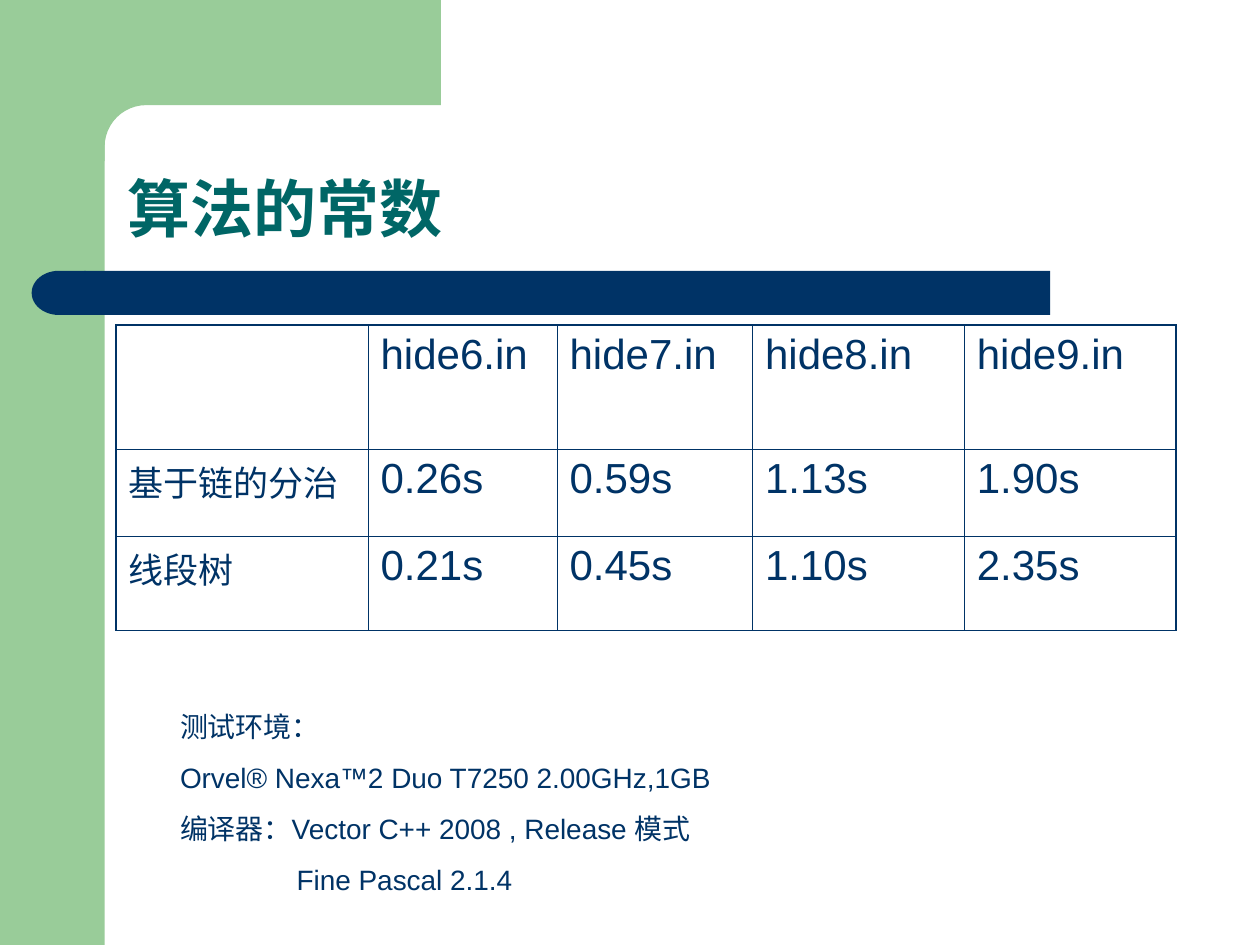
from math import cos, pi, sin

from lxml.etree import SubElement
from pptx import Presentation
from pptx.dml.color import RGBColor
from pptx.enum.shapes import MSO_SHAPE as Shape
from pptx.enum.text import MSO_ANCHOR as Anchor, MSO_AUTO_SIZE as AutoSize, PP_ALIGN as Align
from pptx.oxml.ns import qn
from pptx.util import Cm, Pt

GREEN, NAVY, TEAL = "99CC99", "003366", "006666"


def paint(color_target, hex_color):
    """Give a fill or a font a solid colour."""
    if hasattr(color_target, "solid"):
        color_target.solid()
        color_target.fore_color.rgb = RGBColor.from_string(hex_color)
    else:
        color_target.color.rgb = RGBColor.from_string(hex_color)


def write(paragraph, text, size=24, color=NAVY, bold=False, before=0, line=1.0):
    paragraph.alignment = Align.LEFT
    paragraph.space_before = Pt(before)
    paragraph.line_spacing = line
    run = paragraph.add_run()
    run.text = text
    run.font.name = "Arial"
    run.font.size = Pt(size)
    run.font.bold = bold
    paint(run.font, color)


prs = Presentation()
prs.slide_width, prs.slide_height = Cm(25.4), Cm(19.05)
slide = prs.slides.add_slide(prs.slide_layouts[5])
shapes = slide.shapes

# Green side band and the top block with its rounded inner corner
side_band = shapes.add_shape(Shape.RECTANGLE, 0, 0, Cm(2.11), Cm(19.05))

radius, center_x, center_y = 0.84, 2.95, 2.96
steps = 12
arc = [(center_x - radius * sin(pi / 2 * i / steps), center_y - radius * cos(pi / 2 * i / steps))
       for i in range(steps + 1)]
outline = [(8.89, 0), (8.89, 2.12), *arc, (2.11, 3.25), (1.27, 3.25)]
builder = shapes.build_freeform(Cm(1.27), 0)
builder.add_line_segments([(Cm(x), Cm(y)) for x, y in outline], close=True)
top_block = builder.convert_to_shape()

# Navy rule under the title, with a round left end
rule = shapes.add_shape(Shape.RECTANGLE, Cm(1.7), Cm(5.46), Cm(19.47), Cm(0.89))
rule_end = shapes.add_shape(Shape.FLOWCHART_DELAY, Cm(0.64), Cm(5.46), Cm(1.09), Cm(0.89))
rule_end._element.spPr.find(qn("a:xfrm")).set("flipH", "1")

for part, color in [(side_band, GREEN), (top_block, GREEN), (rule, NAVY), (rule_end, NAVY)]:
    part.shadow.inherit = False
    paint(part.fill, color)
    part.line.fill.background()

title = shapes.title
title.left, title.top, title.width, title.height = Cm(2.31), Cm(2.31), Cm(21.62), Cm(2.77)
title.text_frame.vertical_anchor = Anchor.BOTTOM
title.text_frame.auto_size = AutoSize.NONE
write(title.text_frame.paragraphs[0], "算法的常数", size=36, color=TEAL, bold=True, line=0.9)

# Running times
timings = [
    ["", "hide6.in", "hide7.in", "hide8.in", "hide9.in"],
    ["基于链的分治", "0.26s", "0.59s", "1.13s", "1.90s"],
    ["线段树", "0.21s", "0.45s", "1.10s", "2.35s"],
]
column_widths = [5.08, 3.81, 3.94, 4.27, 4.27]
row_heights = [2.51, 1.75, 1.9]
last_row, last_column = len(row_heights) - 1, len(column_widths) - 1
table = shapes.add_table(len(row_heights), len(column_widths), Cm(2.34), Cm(6.55),
                         Cm(sum(column_widths)), Cm(sum(row_heights))).table
table.first_row = table.horz_banding = False
for column, width in zip(table.columns, column_widths):
    column.width = Cm(width)
for row, height in zip(table.rows, row_heights):
    row.height = Cm(height)

for r, row_texts in enumerate(timings):
    for c, text in enumerate(row_texts):
        cell = table.cell(r, c)
        is_outer = {"lnL": c == 0, "lnR": c == last_column, "lnT": r == 0, "lnB": r == last_row}
        cell_props = cell._tc.get_or_add_tcPr()
        for side, outer in is_outer.items():
            border = SubElement(cell_props, qn(f"a:{side}"), w=str(Pt(1.08 if outer else 0.45)))
            border_fill = SubElement(border, qn("a:solidFill"))
            SubElement(border_fill, qn("a:srgbClr"), val=NAVY)
        cell.fill.background()
        if text:
            size, before = (20, 5) if c == 0 else (24, 6)
            write(cell.text_frame.paragraphs[0], text, size=size, before=before)

# Test environment
environment = shapes.add_textbox(Cm(3.38), Cm(14.17), Cm(19.05), Cm(4.04)).text_frame
environment.word_wrap = True
environment_lines = [
    ("测试环境：", 0),
    ("Orvel® Nexa™2 Duo T7250 2.00GHz,1GB", 0),
    ("编译器：Vector C++ 2008 , Release 模式", 0),
    ("Fine Pascal 2.1.4", 2.35),
]
for i, (text, indent) in enumerate(environment_lines):
    paragraph = environment.add_paragraph() if i else environment.paragraphs[0]
    write(paragraph, text, size=16, before=10)
    if indent:
        paragraph._p.get_or_add_pPr().set("marL", str(Cm(indent)))

prs.save("out.pptx")
